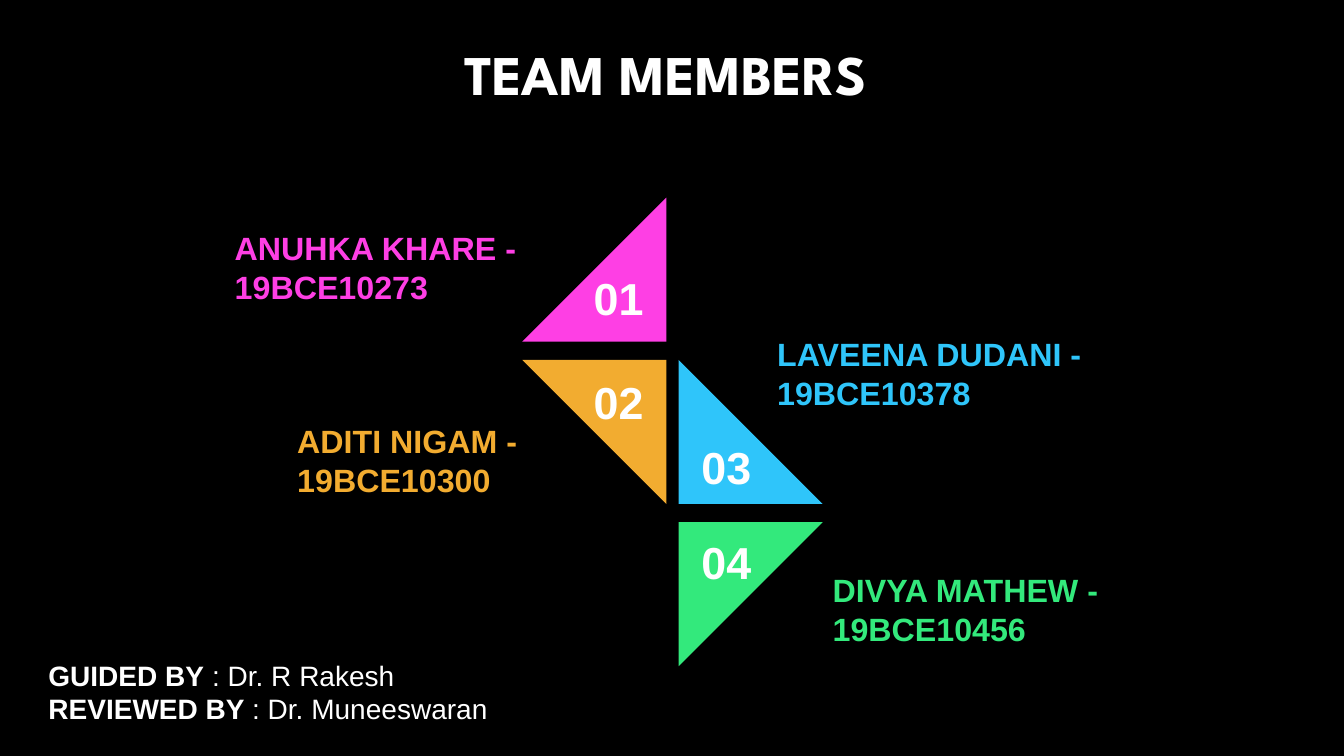
from pptx import Presentation
from pptx.dml.color import RGBColor
from pptx.enum.shapes import MSO_SHAPE
from pptx.enum.text import MSO_ANCHOR, MSO_AUTO_SIZE, PP_ALIGN
from pptx.util import Inches, Pt

WHITE = "FFFFFF"
ROW_TOP, ROW_PITCH, SIDE = 1.96, 1.61, 1.43
LEFT_COLUMN, RIGHT_COLUMN = 5.18, 6.73

MEMBERS = [
    ("01", "ANUHKA KHARE - 19BCE10273", "FE3FE4", LEFT_COLUMN, 0, 270, 2.64, (2.23, 2.22, 4.63, 0.88)),
    ("02", "ADITI NIGAM - 19BCE10300", "F2AC30", LEFT_COLUMN, 1, 180, 3.67, (2.85, 4.13, 2.73, 0.88)),
    ("03", "LAVEENA DUDANI - 19BCE10378", "2FC5FA", RIGHT_COLUMN, 1, 0, 4.31, (7.61, 3.27, 4.33, 0.88)),
    ("04", "DIVYA MATHEW - 19BCE10456", "33E97C", RIGHT_COLUMN, 2, 90, 5.26, (8.16, 5.61, 4.44, 0.88)),
]
NUMBER_LEFT = {LEFT_COLUMN: 5.58, RIGHT_COLUMN: 6.65}
STAFF = [
    [("GUIDED BY", True), (" : Dr. R Rakesh", False)],
    [("REVIEWED BY ", True), (": Dr. Muneeswaran", False)],
]


def rgb(value):
    """Turn a hex string into a colour."""
    return RGBColor.from_string(value)


class TeamSlide:
    """Hold the style and the slide, and add each kind of element."""

    def __init__(self, prs):
        """Add a black slide with a title."""
        self.s = prs.slides.add_slide(prs.slide_layouts[5])
        self.font = {"name": "Arial", "bold": True}
        self.s.background.fill.solid()
        self.s.background.fill.fore_color.rgb = rgb("000000")

    def place(self, sp, box):
        """Set the position and size of a shape."""
        for name, value in zip(("left", "top", "width", "height"), box):
            setattr(sp, name, Inches(value))

    def run(self, p, text, color, **style):
        """Add a formatted run to a paragraph."""
        r = p.add_run()
        r.text = text
        for name, value in {**self.font, **style}.items():
            setattr(r.font, name, value)
        r.font.color.rgb = rgb(color)

    def title(self, text, box):
        """Fill and place the title."""
        sp = self.s.shapes.title
        self.place(sp, box)
        tf = sp.text_frame
        tf.auto_size = MSO_AUTO_SIZE.NONE
        tf.vertical_anchor = MSO_ANCHOR.MIDDLE
        p = tf.paragraphs[0]
        p.alignment = PP_ALIGN.CENTER
        p.line_spacing = 0.9
        self.run(p, text, WHITE, name="League Spartan", size=Pt(40))

    def text(self, paragraphs, box, color, size, align=PP_ALIGN.LEFT, inset=None):
        """Add a text box from paragraphs of (text, bold) pairs."""
        tf = self.s.shapes.add_textbox(*map(Inches, box)).text_frame
        tf.word_wrap = True
        if inset:
            for side in ("left", "top", "right", "bottom"):
                setattr(tf, f"margin_{side}", Inches(inset))
        for i, parts in enumerate(paragraphs):
            p = tf.add_paragraph() if i else tf.paragraphs[0]
            p.alignment = align
            for text, bold in parts:
                self.run(p, text, color, size=Pt(size), bold=bold)

    def triangle(self, group, left, top, rotation, color):
        """Add a right triangle to a column group."""
        sp = group.shapes.add_shape(MSO_SHAPE.RIGHT_TRIANGLE, *map(Inches, (left, top, SIDE, SIDE)))
        sp.rotation = rotation
        sp.shadow.inherit = False
        sp.fill.solid()
        sp.fill.fore_color.rgb = rgb(color)
        sp.line.fill.background()


def main():
    """Build the team slide."""
    prs = Presentation()
    prs.slide_width, prs.slide_height = Inches(13.33), Inches(7.5)
    team = TeamSlide(prs)
    team.title("TEAM MEMBERS", (0.35, 0.37, 12.5, 0.79))
    groups = {left: team.s.shapes.add_group_shape() for left in NUMBER_LEFT}
    for number, name, color, left, row, rotation, number_top, name_box in MEMBERS:
        team.triangle(groups[left], left, ROW_TOP + row * ROW_PITCH, rotation, color)
        team.text([[(name, True)]], name_box, color, 23)
        team.text([[(number, True)]], (NUMBER_LEFT[left], number_top, 1.11, 0.64), WHITE, 32, PP_ALIGN.CENTER)
    team.text(STAFF, (0.35, 6.4, 5.58, 0.94), WHITE, 20, inset=0.13)
    prs.save("out.pptx")


if __name__ == "__main__":
    main()
